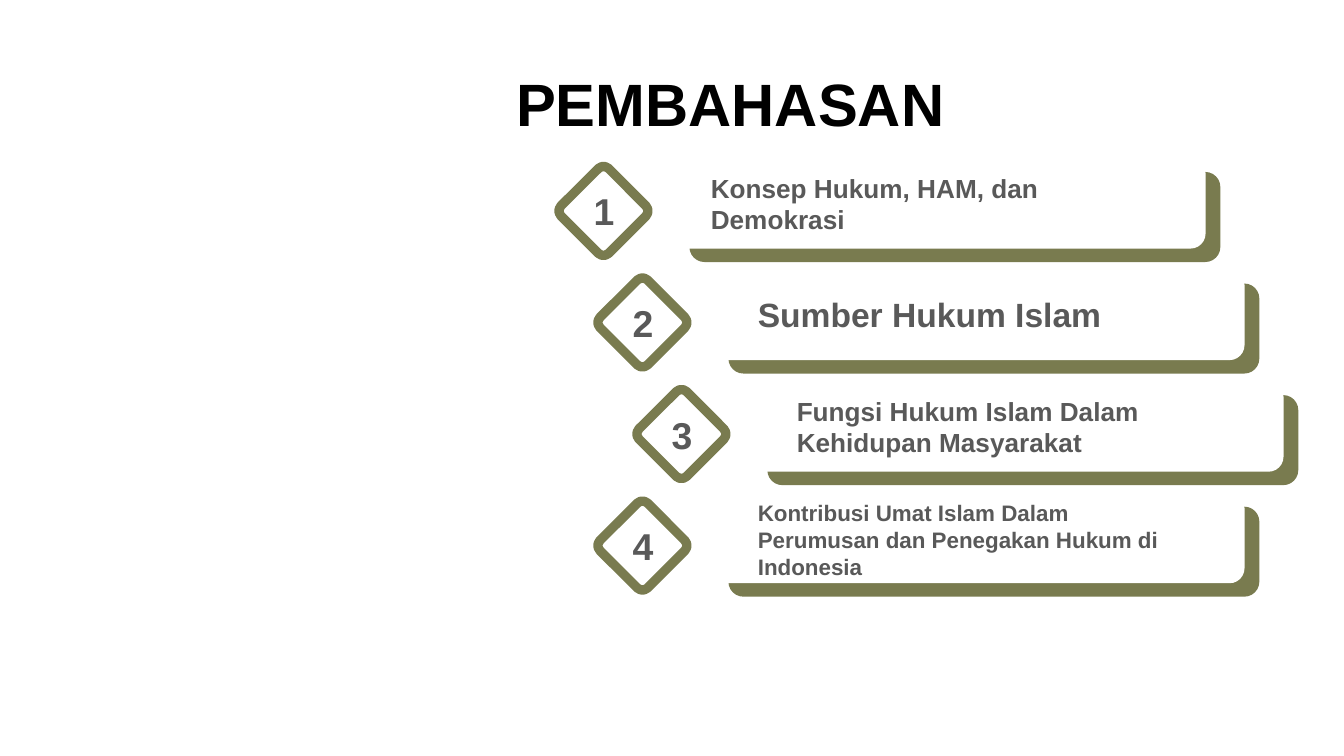
import lxml.etree
import pptx
import pptx.dml.color
import pptx.enum.shapes
import pptx.enum.text
import pptx.oxml.ns
import pptx.util

Inches = pptx.util.Inches
Pt = pptx.util.Pt
Align = pptx.enum.text.PP_ALIGN

FONT = "Arial"
COLORS = {
    "olive": "797B4F",
    "pale": "E9EAE4",
    "white": "FFFFFF",
    "title": "000000",
    "text": "595959",
}

# text, size, indent steps, label offset from card (x, y), label height
TOPICS = [
    ("Konsep Hukum, HAM, dan Demokrasi", 14, 0, 0.17, 0.05, 0.57),
    ("Sumber Hukum Islam", 18, 1, 0.23, 0.13, 0.4),
    ("Fungsi Hukum Islam Dalam Kehidupan Masyarakat", 14, 2, 0.23, 0.05, 0.57),
    ("Kontribusi Umat Islam Dalam Perumusan dan Penegakan Hukum di Indonesia",
     12, 1, 0.23, -0.01, 0.71),
]
FIRST_LEFT, FIRST_TOP = 5.02, 1.18
INDENT, ROW_STEP = 0.29, 0.83
CARD_WIDTH, CARD_HEIGHT = 3.95, 0.67
DIAMOND_SIDE = 0.5


def rgb(name):
    return pptx.dml.color.RGBColor.from_string(COLORS[name])


def write(frame, text, size, color="text", align=Align.LEFT):
    frame.word_wrap = True
    frame.vertical_anchor = pptx.enum.text.MSO_ANCHOR.MIDDLE
    paragraph = frame.paragraphs[0]
    paragraph.alignment = align
    run = paragraph.add_run()
    run.text = text
    run.font.name = FONT
    run.font.size = Pt(size)
    run.font.bold = True
    run.font.color.rgb = rgb(color)


def add_label(shapes, left, top, width, height, text, margin=0.1, **text_format):
    frame = shapes.add_textbox(
        Inches(left), Inches(top), Inches(width), Inches(height)).text_frame
    frame.margin_left = frame.margin_right = Inches(margin)
    frame.auto_size = pptx.enum.text.MSO_AUTO_SIZE.SHAPE_TO_FIT_TEXT
    write(frame, text, **text_format)


def add_rounded(shapes, left, top, width, height, fill, line=None, weight=0):
    box = shapes.add_shape(
        pptx.enum.shapes.MSO_SHAPE.ROUNDED_RECTANGLE,
        Inches(left), Inches(top), Inches(width), Inches(height))
    box.shadow.inherit = False
    box.fill.solid()
    box.fill.fore_color.rgb = rgb(fill)
    if line:
        box.line.color.rgb = rgb(line)
        box.line.width = Pt(weight)
    else:
        box.line.fill.background()
    return box


def make_line_clear(box):
    qn = pptx.oxml.ns.qn
    color = box.line._get_or_add_ln().find(".//" + qn("a:srgbClr"))
    lxml.etree.SubElement(color, qn("a:alpha")).set("val", "0")


def add_title(slide, text):
    title = slide.shapes.title
    title.left, title.top = Inches(3.74), Inches(0.45)
    title.width, title.height = Inches(6.26), Inches(0.63)
    write(title.text_frame, text, size=32, color="title")


def add_topic(slide, row, text, size, steps, label_dx, label_dy, label_height):
    """Add a card with its olive backing, label and numbered diamond."""
    shapes = slide.shapes.add_group_shape().shapes
    left = FIRST_LEFT + steps * INDENT
    top = FIRST_TOP + row * ROW_STEP
    add_rounded(shapes, left + 0.11, top + 0.1, CARD_WIDTH, CARD_HEIGHT, "olive")
    card = add_rounded(shapes, left, top, CARD_WIDTH, CARD_HEIGHT,
                       "white", "pale", 1.25)
    make_line_clear(card)
    add_label(shapes, left + label_dx, top + label_dy, 3.31, label_height,
              text, size=size)

    diamond_left, diamond_top = left - 0.78, top + 0.14
    diamond = add_rounded(shapes, diamond_left, diamond_top,
                          DIAMOND_SIDE, DIAMOND_SIDE, "white", "olive", 5)
    diamond.rotation = 45
    diamond.adjustments[0] = 0.107
    add_label(shapes, diamond_left + 0.09, diamond_top + 0.03, 0.33, 0.44,
              str(row + 1), margin=0, size=20, align=Align.CENTER)


def main():
    deck = pptx.Presentation()
    deck.slide_width = Inches(10)
    deck.slide_height = deck.slide_width * 9 // 16
    slide = deck.slides.add_slide(deck.slide_layouts[5])
    add_title(slide, "PEMBAHASAN")
    for row, topic in enumerate(TOPICS):
        add_topic(slide, row, *topic)
    deck.save("out.pptx")


if __name__ == "__main__":
    main()
